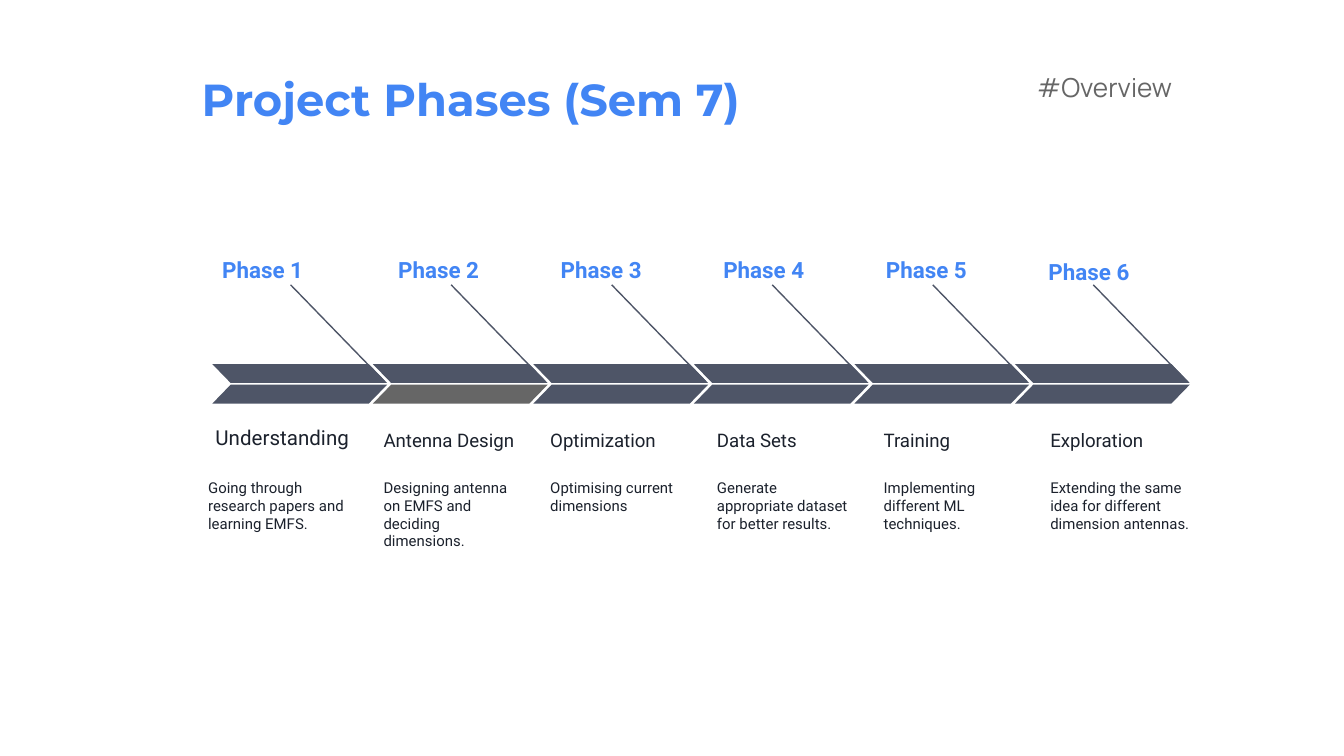
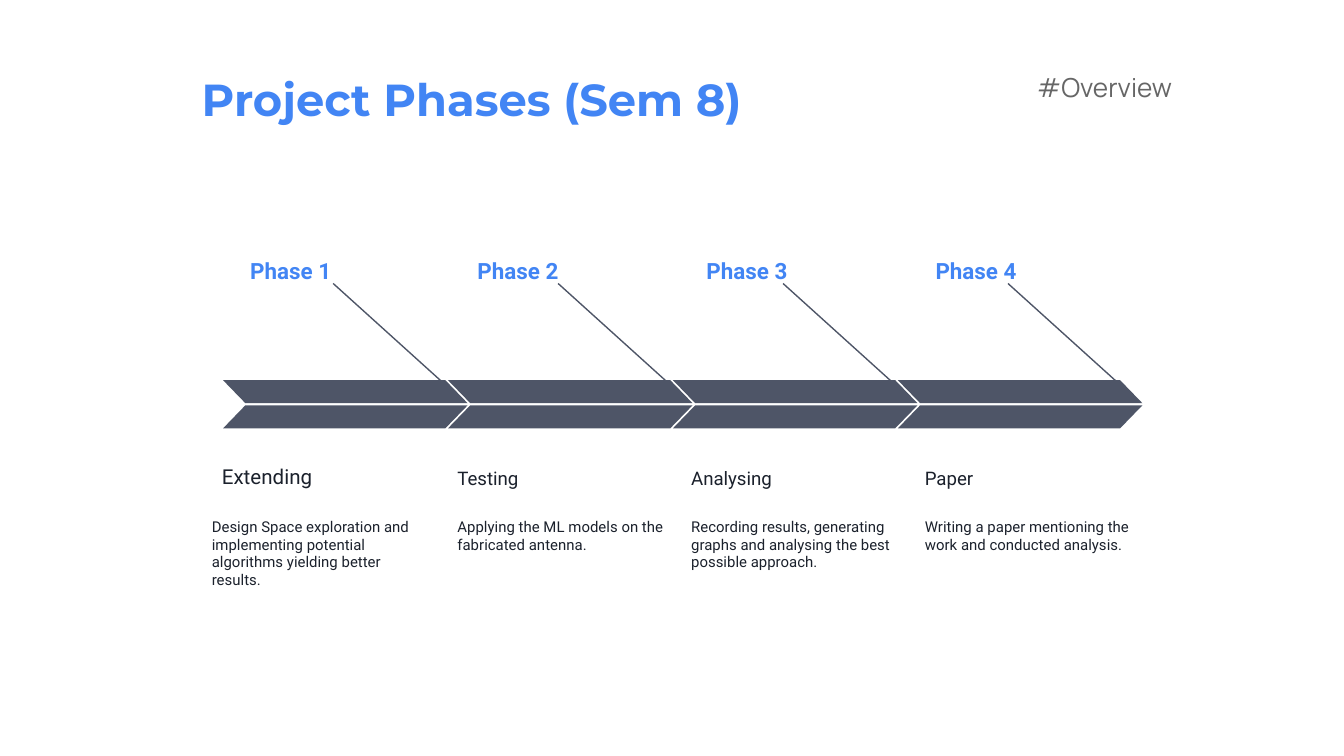
from pptx import Presentation
from pptx.dml.color import RGBColor
from pptx.enum.shapes import MSO_CONNECTOR, MSO_SHAPE
from pptx.enum.text import MSO_ANCHOR, MSO_AUTO_SIZE
from pptx.oxml.ns import qn
from pptx.util import Pt
from lxml import etree

STRAIGHT = MSO_CONNECTOR.STRAIGHT
PARALLELOGRAM = MSO_SHAPE.PARALLELOGRAM
TOP, BOTTOM = MSO_ANCHOR.TOP, MSO_ANCHOR.BOTTOM
GROW = MSO_AUTO_SIZE.SHAPE_TO_FIT_TEXT

BLUE, SLATE, GREY, INK = "4285F4", "4E5567", "666666", "1B212C"
INSET = 7.2


def rgb(color):
    return RGBColor.from_string(color)


def add_text(s, box, text, size, color=INK, font="Roboto", bold=False, anchor=TOP, after=0):
    tb = s.shapes.add_textbox(*[Pt(v) for v in box])
    tf = tb.text_frame
    tf.word_wrap = True
    tf.vertical_anchor = anchor
    tf.margin_left = tf.margin_right = tf.margin_top = tf.margin_bottom = Pt(INSET)
    p = tf.paragraphs[0]
    p.space_after = Pt(after)
    r = p.add_run()
    r.text = text
    r.font.size = Pt(size)
    r.font.name = font
    r.font.bold = bold
    r.font.color.rgb = rgb(color)
    return tb


# Each phase: heading, description, colour of the lower half of its arrow.
# Positions: the first column stands apart, the others follow at equal steps.
slides = [
    dict(
        title="Project Phases (Sem 7)",
        phases=[
            ("Understanding", "Going through research papers and learning EMFS.", SLATE),
            ("Antenna Design", "Designing antenna on EMFS and deciding dimensions.", GREY),
            ("Optimization", "Optimising current dimensions", SLATE),
            ("Data Sets", "Generate appropriate dataset for better results.", SLATE),
            ("Training", "Implementing different ML techniques.", SLATE),
            ("Exploration", "Extending the same idea for different dimension antennas.", SLATE),
        ],
        label_first=111.9, label_x=206.2, label_step=87.1, label_y=130, label_w=66, label_h=16.6,
        last_label_drop=1,
        head_first=108.3, body_first=104.4, text_x=198.4, text_step=89.3, text_w=89.5,
        head_y=216, head_h=31.7, body_y=249.1, body_h=52.6,
        bar_x=113.8, bar_step=86, bar_w=93.6, bar_h=10.1, bar_tops=(195.1, 206.1),
        line_dx=41.9, line_w=50.4, line_y=(152.6, 204.5),
    ),
    dict(
        title="Project Phases (Sem 8)",
        phases=[
            ("Extending", "Design Space exploration and implementing potential algorithms "
                          "yielding better results.", SLATE),
            ("Testing", "Applying the ML models on the fabricated antenna.", SLATE),
            ("Analysing", "Recording results, generating graphs and analysing the best "
                          "possible approach.", SLATE),
            ("Paper", "Writing a paper mentioning the work and conducted analysis.", SLATE),
        ],
        label_first=127, label_x=248.7, label_step=122.7, label_y=130.7, label_w=80, label_h=20.9,
        last_label_drop=0,
        head_first=111.8, body_first=106.4, text_x=238, text_step=125.2, text_w=125.3,
        head_y=229.3, head_h=38.9, body_y=269.9, body_h=64.1,
        bar_x=119.5, bar_step=120.5, bar_w=131, bar_h=12.3, bar_tops=(203.7, 217.2),
        line_dx=59, line_w=70.2, line_y=(151.9, 215.3),
    ),
]

prs = Presentation()
prs.slide_width, prs.slide_height = Pt(720), Pt(405)

for d in slides:
    s = prs.slides.add_slide(prs.slide_layouts[6])
    s.background.fill.solid()
    s.background.fill.fore_color.rgb = rgb("FFFFFF")

    # Title and section tag
    add_text(s, (101, 31, 554.4, 72), d["title"], 24, BLUE, "Montserrat", True)
    tag = add_text(s, (548.6, 31, 153.4, 31.7), "#Overview", 14, GREY, "Manrope")
    tag.text_frame.auto_size = GROW

    last = len(d["phases"]) - 1
    for i, (heading, description, lower_color) in enumerate(d["phases"]):
        # Leader line from the phase label down to the arrow tip
        bar_x = d["bar_x"] + i * d["bar_step"]
        x, (y1, y2) = bar_x + d["line_dx"], d["line_y"]
        line = s.shapes.add_connector(STRAIGHT, Pt(x), Pt(y1), Pt(x + d["line_w"]), Pt(y2))
        line.line.color.rgb = rgb(SLATE)
        line.line.width = Pt(0.75)
        etree.SubElement(line._element.spPr, qn("a:effectLst"))

        # Arrow made of a mirrored upper half and a lower half
        for half, color in enumerate((SLATE, lower_color)):
            sp = s.shapes.add_shape(PARALLELOGRAM, Pt(bar_x), Pt(d["bar_tops"][half]),
                                    Pt(d["bar_w"]), Pt(d["bar_h"]))
            sp.adjustments[0] = 0.97
            sp.shadow.inherit = False
            sp.fill.solid()
            sp.fill.fore_color.rgb = rgb(color)
            sp.line.fill.background()
            if half == 0:
                sp._element.spPr.xfrm.set("flipH", "1")

        # Phase label, heading and description
        if i == 0:
            label_x, head_x, body_x = d["label_first"], d["head_first"], d["body_first"]
        else:
            label_x = d["label_x"] + (i - 1) * d["label_step"]
            head_x = body_x = d["text_x"] + (i - 1) * d["text_step"]
        label_y = d["label_y"] + (d["last_label_drop"] if i == last else 0)
        add_text(s, (label_x, label_y, d["label_w"], d["label_h"]),
                 f"Phase {i + 1}", 12, BLUE, bold=True)
        add_text(s, (head_x, d["head_y"], d["text_w"], d["head_h"]),
                 heading, 11 if i == 0 else 10, anchor=BOTTOM)
        add_text(s, (body_x, d["body_y"], d["text_w"], d["body_h"]), description, 8, after=16)

prs.save("out.pptx")
